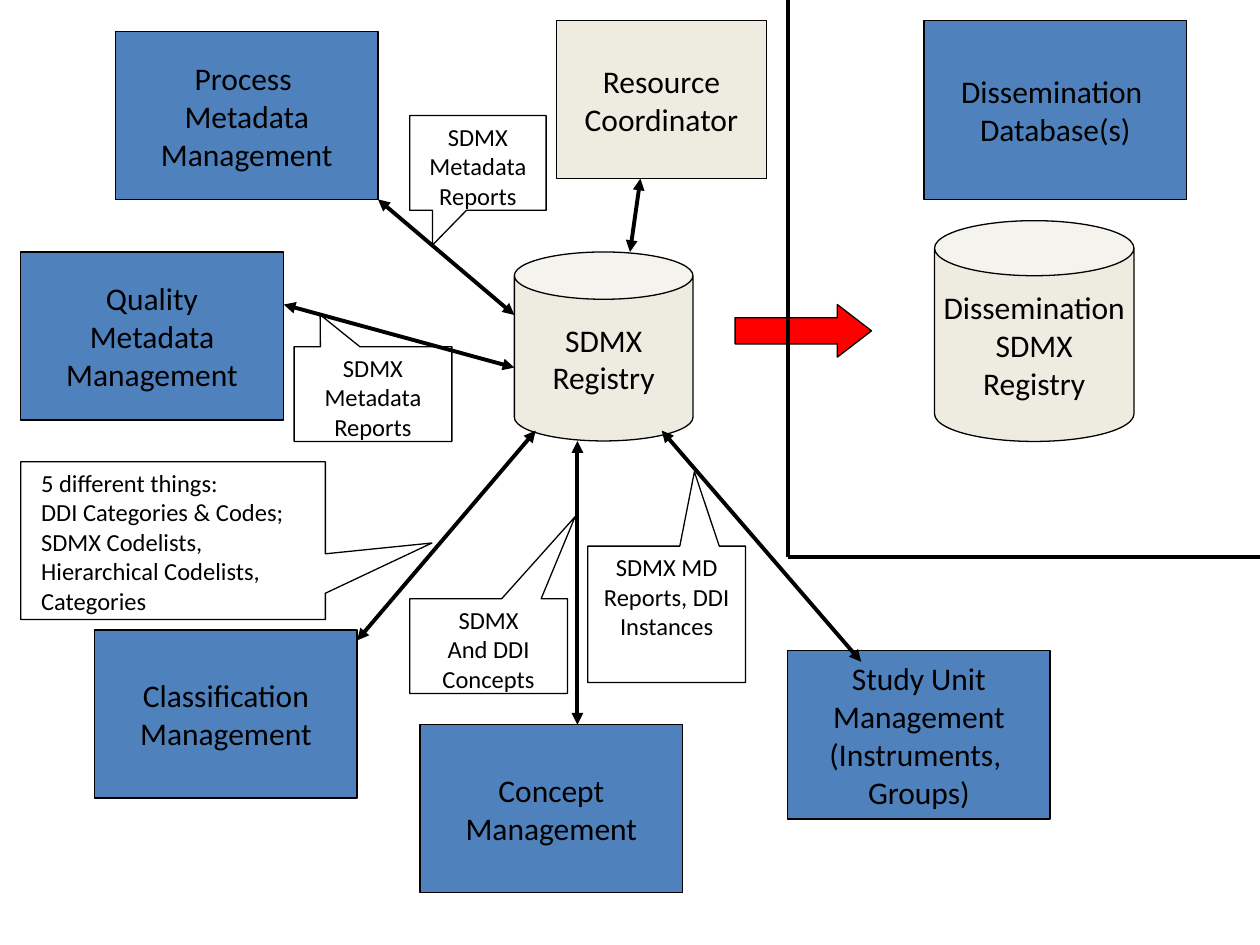
"""Build the slide showing how metadata systems exchange content with an SDMX registry."""
from dataclasses import dataclass

from lxml.etree import SubElement
from pptx import Presentation
from pptx.dml.color import RGBColor
from pptx.enum.shapes import MSO_CONNECTOR as Connector, MSO_SHAPE as Preset
from pptx.enum.text import MSO_ANCHOR as Anchor, MSO_AUTO_SIZE as AutoSize, PP_ALIGN as Align
from pptx.oxml.ns import qn
from pptx.util import Cm, Pt

BLACK, BLUE, BEIGE, RED = "000000", "4F81BD", "EEECE1", "FF0000"
BOX_W, BOX_H = 5.29, 3.39


@dataclass(frozen=True)
class Node:
    """A filled system on the map, measured in centimetres."""
    left: float
    top: float
    lines: tuple[str, ...] = ()
    width: float = BOX_W
    height: float = BOX_H
    fill: str = BLUE
    preset: Preset = Preset.RECTANGLE
    adjustments: tuple[float, ...] = ()


@dataclass(frozen=True)
class Callout:
    """An unfilled speech box with the relative position of its tip."""
    left: float
    top: float
    width: float
    height: float
    tip: tuple[float, float]
    lines: tuple[str, ...] = ()


@dataclass(frozen=True)
class Link:
    """A straight line between two points."""
    start: tuple[float, float]
    end: tuple[float, float]
    arrows: bool = True


def color(value: str) -> RGBColor:
    """Turn a hex string into a colour."""
    return RGBColor.from_string(value)


def write(frame, lines: tuple[str, ...], size: int, align: Align, anchor: Anchor, wrap: bool) -> None:
    """Fill a text frame with one paragraph per line."""
    frame.word_wrap = wrap
    frame.vertical_anchor = anchor
    for index, line in enumerate(lines):
        paragraph = frame.paragraphs[0] if index == 0 else frame.add_paragraph()
        paragraph.alignment = align
        run = paragraph.add_run()
        run.text = line
        run.font.name = "Calibri"
        run.font.size = Pt(size)
        run.font.color.rgb = color(BLACK)


def add_outlined(slide, preset: Preset, item: Node | Callout, adjustments: tuple[float, ...]):
    """Add a preset shape with a thin black outline and no shadow."""
    shape = slide.shapes.add_shape(
        preset, Cm(item.left), Cm(item.top), Cm(item.width), Cm(item.height))
    for index, value in enumerate(adjustments):
        shape.adjustments[index] = value
    shape.shadow.inherit = False
    shape.line.color.rgb = color(BLACK)
    shape.line.width = Pt(0.75)
    return shape


def add_node(slide, node: Node) -> None:
    """Draw one filled system."""
    shape = add_outlined(slide, node.preset, node, node.adjustments)
    shape.fill.solid()
    shape.fill.fore_color.rgb = color(node.fill)
    write(shape.text_frame, node.lines, 18, Align.CENTER, Anchor.MIDDLE, False)


def add_callout(slide, callout: Callout) -> None:
    """Draw one speech box."""
    shape = add_outlined(slide, Preset.RECTANGULAR_CALLOUT, callout, callout.tip)
    shape.fill.background()
    write(shape.text_frame, callout.lines, 14, Align.CENTER, Anchor.TOP, True)


def add_link(slide, link: Link) -> None:
    """Draw one line, with an arrowhead at both ends if asked."""
    connector = slide.shapes.add_connector(
        Connector.STRAIGHT, *(Cm(value) for value in link.start + link.end))
    connector.line.color.rgb = color(BLACK)
    connector.line.width = Pt(2.25)
    if link.arrows:
        outline = connector.line._get_or_add_ln()
        for end in ("a:headEnd", "a:tailEnd"):
            SubElement(outline, qn(end), type="triangle")
    SubElement(connector._element.spPr, qn("a:effectLst"))


def add_note(slide, lines: tuple[str, ...]) -> None:
    """Write the list of classification content over its speech box."""
    note = slide.shapes.add_textbox(Cm(0.58), Cm(9.31), Cm(6.17), Cm(3.2))
    write(note.text_frame, lines, 14, Align.LEFT, Anchor.TOP, False)
    note.text_frame.auto_size = AutoSize.SHAPE_TO_FIT_TEXT


NODES = (
    Node(10.37, 5.08, ("SDMX", "Registry"), 3.6, 3.81, BEIGE, Preset.CAN, (0.265,)),
    Node(1.91, 12.7, ("Classification", "Management")),
    Node(8.47, 14.61, ("Concept", "Management")),
    Node(15.88, 13.12, ("Study Unit", "Management", "(Instruments, ", "Groups)")),
    Node(2.33, 0.64, ("Process ", "Metadata", "Management")),
    Node(0.42, 5.08, ("Quality", "Metadata", "Management")),
    Node(14.82, 6.14, (), 2.75, 1.06, RED, Preset.RIGHT_ARROW, (0.5, 0.65)),
    Node(18.84, 4.45, ("Dissemination", "SDMX", "Registry"), 4.02, 4.45, BEIGE, Preset.CAN, (0.276,)),
    Node(18.63, 0.42, ("Dissemination ", "Database(s)"), height=3.6),
    Node(11.22, 0.42, ("Resource", "Coordinator"), 4.23, 3.18, BEIGE),
)
CORNER = (15.88, 11.22)
LINKS = (
    Link((15.88, 0), CORNER, arrows=False),
    Link(CORNER, (25.4, 11.22), arrows=False),
    Link((7.62, 4.02), (10.37, 6.35)),
    Link((5.72, 6.14), (10.37, 7.41)),
    Link((7.2, 12.91), (10.8, 8.68)),
    Link((11.64, 14.61), (11.64, 8.89)),
    Link((17.36, 13.34), (13.34, 8.68)),
    Link((12.91, 3.6), (12.7, 5.08)),
)
REPORTS = ("SDMX", "Metadata", "Reports")
CALLOUTS = (
    Callout(8.26, 2.33, 2.75, 1.91, (-0.332, 0.866), REPORTS),
    Callout(5.93, 6.99, 3.18, 1.91, (-0.335, -0.838), REPORTS),
    Callout(0.42, 9.31, 6.14, 3.18, (0.85, 0.015)),
    Callout(8.26, 12.07, 3.18, 1.91, (0.549, -1.366), ("SDMX", "And DDI", "Concepts")),
    Callout(11.85, 11.01, 3.18, 2.75, (0.176, -1.045), ("SDMX MD Reports, DDI Instances",)),
)
CLASSIFICATION_CONTENT = (
    "5 different things:",
    "DDI Categories & Codes;",
    "SDMX Codelists,",
    "Hierarchical Codelists,",
    "Categories",
)


def main() -> None:
    """Assemble and save the slide."""
    deck = Presentation()
    deck.slide_width, deck.slide_height = Cm(25.4), Cm(19.05)
    slide = deck.slides.add_slide(deck.slide_layouts[6])
    for node in NODES:
        add_node(slide, node)
    for link in LINKS:
        add_link(slide, link)
    for callout in CALLOUTS:
        add_callout(slide, callout)
    add_note(slide, CLASSIFICATION_CONTENT)
    deck.save("out.pptx")


if __name__ == "__main__":
    main()
